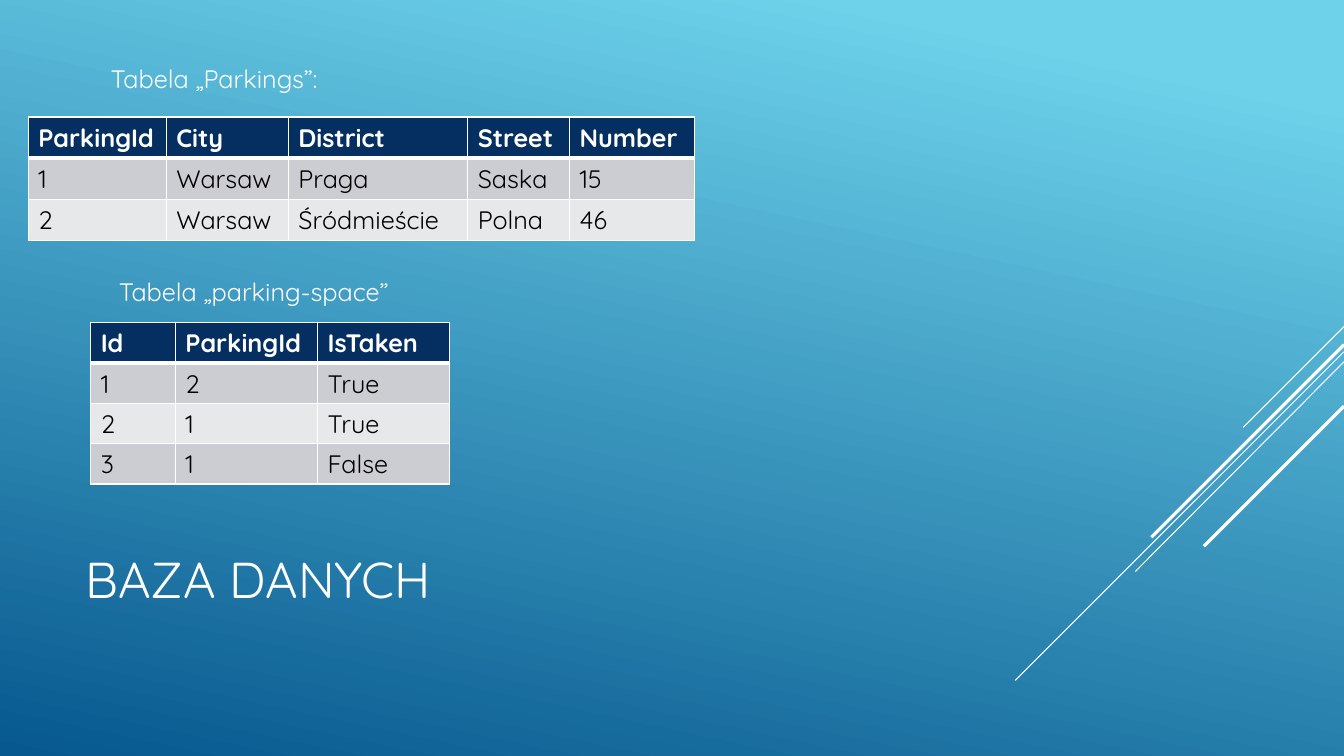
from lxml import etree
from pptx import Presentation, util as u
from pptx.dml.color import RGBColor
from pptx.enum import shapes, text
from pptx.oxml import ns

PX = 9144  # EMU per px, 100 px to the inch
WIDTH, HEIGHT = 1333, 750

WHITE = RGBColor(0xFF, 0xFF, 0xFF)
BLACK = RGBColor(0x00, 0x00, 0x00)
NAVY = RGBColor(0x05, 0x2F, 0x61)
DARK_BAND = RGBColor(0xCC, 0xCD, 0xD2)
LIGHT_BAND = RGBColor(0xE7, 0xE8, 0xEA)
SKY = RGBColor(0x6E, 0xD2, 0xEB)
OCEAN = RGBColor(0x06, 0x58, 0x8E)

# Start y, end x, end y, width in points; every stripe starts at the right edge
STRIPES = [
    (324, 1233, 424, 0.75),
    (349, 1007, 675, 0.75),
    (359, 1126, 567, 0.75),
    (342, 1142, 533, 2.25),
    (403, 1194, 542, 2.25),
]

PARKINGS = [
    ("ParkingId", "City", "District", "Street", "Number"),
    ("1", "Warsaw", "Praga", "Saska", "15"),
    ("2", "Warsaw", "Śródmieście", "Polna", "46"),
]

PARKING_SPACES = [
    ("Id", "ParkingId", "IsTaken"),
    ("1", "2", "True"),
    ("2", "1", "True"),
    ("3", "1", "False"),
]


def px(*lengths):
    return [u.Emu(length * PX) for length in lengths]


def write(frame, words, size=18, color=WHITE, bold=False, font="Quicksand"):
    span = frame.paragraphs[0].add_run()
    span.text = words
    span.font.name = font
    span.font.size = u.Pt(size)
    span.font.bold = bold
    span.font.color.rgb = color


def add_border(cell, side, points):
    properties = cell._tc.get_or_add_tcPr()
    line = etree.SubElement(properties, ns.qn(f"a:ln{side}"), w=str(u.Pt(points)))
    fill = etree.SubElement(line, ns.qn("a:solidFill"))
    etree.SubElement(fill, ns.qn("a:srgbClr"), val=str(WHITE))


class SlideBuilder:
    def __init__(self, page):
        self.page = page

    def background(self, start, end, angle):
        fill = self.page.background.fill
        fill.gradient()
        fill.gradient_angle = 360 - angle  # python-pptx counts anticlockwise
        for stop, color, position in zip(fill.gradient_stops, (start, end), (0.1, 1)):
            stop.color.rgb = color
            stop.position = position

    def stripe(self, start_y, end_x, end_y, points):
        line = self.page.shapes.add_connector(
            shapes.MSO_CONNECTOR.STRAIGHT, *px(WIDTH, start_y, end_x, end_y))
        line.line.color.rgb = WHITE
        line.line.width = u.Pt(points)
        etree.SubElement(line._element.spPr, ns.qn("a:effectLst"))

    def label(self, words, left, top, width, height,
              anchor=text.MSO_ANCHOR.TOP, **style):
        box = self.page.shapes.add_textbox(*px(left, top, width, height))
        frame = box.text_frame
        frame.word_wrap = True
        frame.vertical_anchor = anchor
        write(frame, words, **style)

    def table(self, rows, left, top, widths, row_height):
        frame = self.page.shapes.add_table(
            len(rows), len(widths),
            *px(left, top, sum(widths), row_height * len(rows)))
        table = frame.table
        for column, width in zip(table.columns, widths):
            column.width = px(width)[0]
        for r, row in enumerate(rows):
            header = r == 0
            band = NAVY if header else DARK_BAND if r % 2 else LIGHT_BAND
            for c, words in enumerate(row):
                cell = table.cell(r, c)
                write(cell.text_frame, words, bold=header,
                      color=WHITE if header else BLACK)
                # A thick rule separates the header from the body
                for side, points in (("L", 1), ("R", 1),
                                     ("T", 3 if r == 1 else 1),
                                     ("B", 3 if header else 1)):
                    add_border(cell, side, points)
                cell.fill.solid()
                cell.fill.fore_color.rgb = band


def main():
    deck = Presentation()
    deck.slide_width, deck.slide_height = px(WIDTH, HEIGHT)
    slide = SlideBuilder(deck.slides.add_slide(deck.slide_layouts[6]))

    # Backdrop
    slide.background(SKY, OCEAN, angle=102)
    for stripe in STRIPES:
        slide.stripe(*stripe)

    # Title and captions
    slide.label("BAZA DANYCH", 75, 491, 933, 165,
                anchor=text.MSO_ANCHOR.MIDDLE, size=36)
    slide.label("Tabela „Parkings”:", 100, 58, 677, 71)
    slide.label("Tabela „parking-space”", 108, 269, 438, 101)

    # Tables
    slide.table(PARKINGS, 28, 116, (137, 121, 178, 101, 124), 41)
    slide.table(PARKING_SPACES, 90, 320, (84, 141, 131), 40)

    deck.save("out.pptx")


if __name__ == "__main__":
    main()
